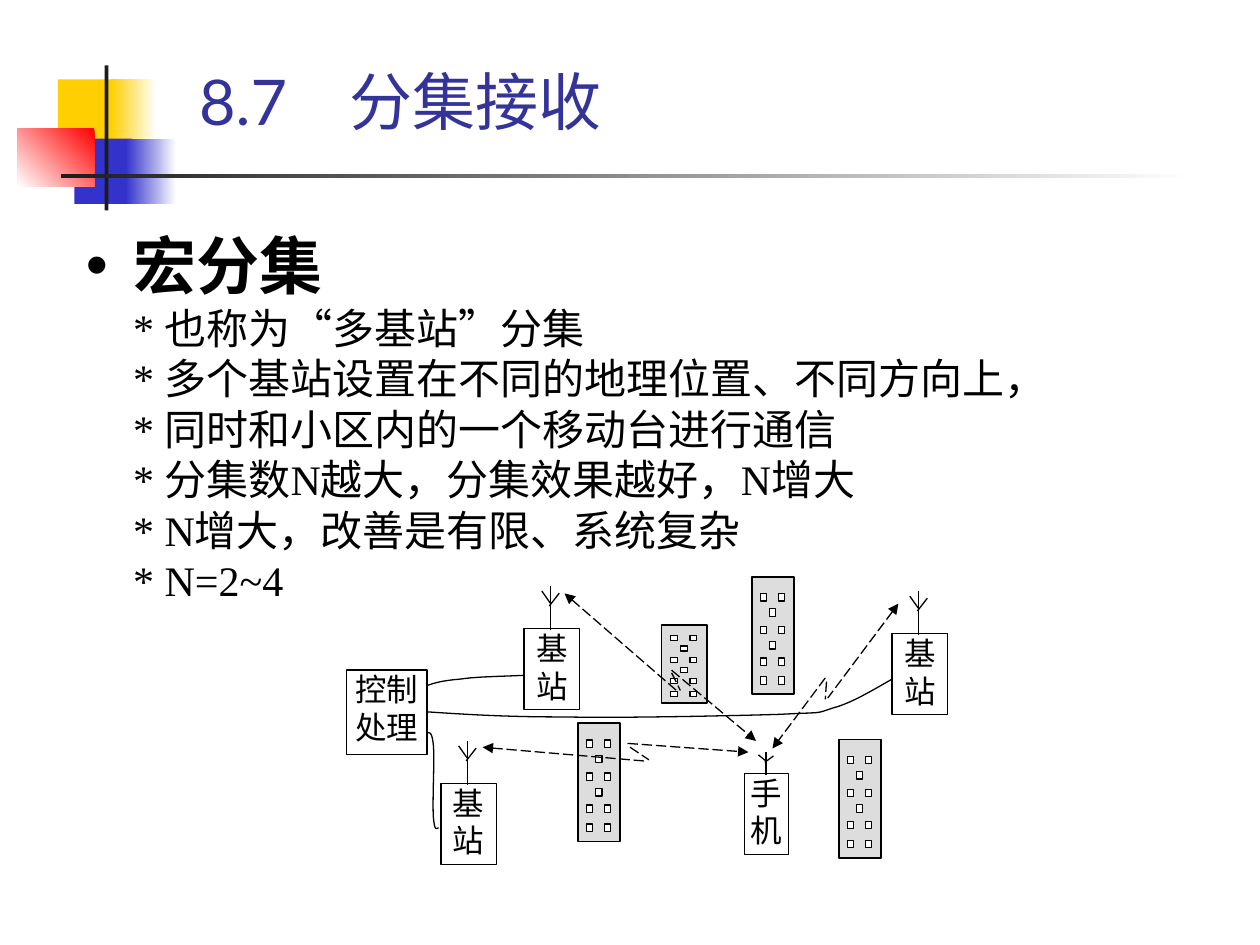
from copy import deepcopy

from lxml.etree import SubElement
from pptx import Presentation
from pptx.dml.color import RGBColor
from pptx.enum.dml import MSO_LINE
from pptx.enum.shapes import MSO_CONNECTOR, MSO_SHAPE
from pptx.enum.text import MSO_ANCHOR, MSO_AUTO_SIZE, PP_ALIGN
from pptx.oxml.ns import qn
from pptx.util import Pt

BLACK = RGBColor(0x00, 0x00, 0x00)
WHITE = RGBColor(0xFF, 0xFF, 0xFF)
CHARCOAL = RGBColor(0x1C, 0x1C, 0x1C)
GRAY = RGBColor(0xDD, 0xDD, 0xDD)
YELLOW = RGBColor(0xFF, 0xCF, 0x01)
BLUE = RGBColor(0x33, 0x33, 0xCC)
RED = RGBColor(0xFF, 0x00, 0x00)
INDIGO = RGBColor(0x33, 0x33, 0x99)
HAN = "Noto Sans CJK SC"
ROMAN = "Times New Roman"

prs = Presentation()
prs.slide_width, prs.slide_height = Pt(720), Pt(540)
slide = prs.slides.add_slide(prs.slide_layouts[1])
shapes = slide.shapes


def add_rect(left, top, width, height, fill=None, line_width=None):
    rect = shapes.add_shape(MSO_SHAPE.RECTANGLE, Pt(left), Pt(top), Pt(width), Pt(height))
    rect.shadow.inherit = False
    if fill is None:
        rect.fill.background()
    else:
        rect.fill.solid()
        rect.fill.fore_color.rgb = fill
    if line_width is None:
        rect.line.fill.background()
    else:
        rect.line.color.rgb = BLACK
        rect.line.width = Pt(line_width)
    return rect


def set_font(font, name, size, color, bold=False):
    """Set a font for Latin text, with the Han font for East Asian text."""
    font.name, font.size, font.bold = name, Pt(size), bold
    font.color.rgb = color
    SubElement(font._rPr, qn("a:ea"), typeface=HAN)


# Corner ornament: plain bars, and bars fading from one colour to another
for left, top, width, height, start, end, angle in [
    (33.1, 45.4, 34.6, 37.4, YELLOW, None, 0),
    (63.4, 45.4, 25.9, 37.4, WHITE, YELLOW, 180),
    (42.5, 79.2, 33.1, 37.4, BLUE, None, 0),
    (72, 79.2, 28.8, 37.4, WHITE, BLUE, 180),
    (10.1, 73.4, 43.9, 33.1, RED, WHITE, 225),
    (59.8, 37.4, 2.2, 82.8, CHARCOAL, None, 0),
    (34.6, 99.4, 648, 2.2, WHITE, CHARCOAL, 180),
]:
    bar = add_rect(left, top, width, height, start)
    if end is not None:
        bar.fill.gradient()
        bar.fill.gradient_angle = angle
        for stop, color in zip(bar.fill.gradient_stops, (start, end)):
            stop.color.rgb = color

# Title
title = shapes.title
title.left, title.top, title.width, title.height = Pt(106.6), Pt(23.8), Pt(613.4), Pt(59)
title.text_frame.vertical_anchor = MSO_ANCHOR.BOTTOM
title.text_frame.auto_size = MSO_AUTO_SIZE.NONE
heading = title.text_frame.paragraphs[0]
heading.alignment = PP_ALIGN.LEFT
tabs = SubElement(heading._p.get_or_add_pPr(), qn("a:tabLst"))
SubElement(tabs, qn("a:tab"), pos=str(Pt(86)), algn="l")
for text, name in [("8.7\t", "Lato"), ("分集接收", HAN)]:
    run = heading.add_run()
    run.text = text
    set_font(run.font, name, 36, INDIGO)

# Body: one bulleted paragraph, its lines parted by breaks
body = slide.placeholders[1]
body.left, body.top, body.width, body.height = Pt(41.8), Pt(126), Pt(653.8), Pt(414)
body.text_frame.auto_size = MSO_AUTO_SIZE.NONE
topic = body.text_frame.paragraphs[0]
topic.space_before = Pt(0)
topic.line_spacing = 1.0
topic_format = topic._p.get_or_add_pPr()
topic_format.set("marL", str(Pt(27)))
topic_format.set("indent", str(Pt(-27)))
SubElement(topic_format, qn("a:buFont"), typeface="Arial")
SubElement(topic_format, qn("a:buChar"), char="•")
topic_lines = [
    [("宏分集", HAN)],
    [("* ", ROMAN), ("也称为“多基站”分集", HAN)],
    [("* ", ROMAN), ("多个基站设置在不同的地理位置、不同方向上，", HAN)],
    [("* ", ROMAN), ("同时和小区内的一个移动台进行通信", HAN)],
    [("* 分集数N越大，分集效果越好，N增大", ROMAN)],
    [("* N增大，", ROMAN), ("改善是有限", HAN), ("、系统", ROMAN), ("复杂", HAN)],
    [("* N=2~4", ROMAN)],
]
for number, parts in enumerate(topic_lines):
    if number:
        topic.add_line_break()
        topic._p[-1].append(deepcopy(run.font._rPr))
    for text, name in parts:
        run = topic.add_run()
        run.text = text
        set_font(run.font, name, 24 if number else 36, BLACK, bold=number == 0)

# Buildings, with rows of two windows and of one
PAIR, SINGLE = (0.2, 0.63), (0.42,)
window_rows = [(0.14, PAIR), (0.27, SINGLE), (0.42, PAIR),
               (0.55, SINGLE), (0.69, PAIR), (0.85, PAIR)]
for left, top, width, height in [
    (330.5, 413.3, 23.8, 67.7),
    (378, 357.1, 25.9, 44.6),
    (429.8, 329.8, 23.8, 67),
    (479.5, 422.6, 23.8, 67.7),
]:
    add_rect(left, top, width, height, GRAY, 1)
    for down, columns in window_rows:
        for across in columns:
            add_rect(left + across * width, top + down * height,
                     0.15 * width, 0.064 * height, WHITE, 0.75)

# Boxes; those with an antenna also give its mast offset, height and reach
STATION, PHONE = (15.1, 24.5, 5), (12.2, 12.2, 4.3)
strokes = []  # x1, y1, x2, y2, dashed, arrowhead
for text, left, top, width, height, line_width, antenna in [
    ("基\n站", 252, 447.8, 31.7, 46.1, 0.75, STATION),
    ("基\n站", 299.5, 359.3, 31.7, 46.1, 0.75, STATION),
    ("基\n站", 509.8, 362.2, 31.7, 46.1, 0.75, STATION),
    ("手\n机", 425.5, 442.1, 25.2, 46.1, 0.75, PHONE),
    ("控制\n处理", 198, 383, 46.1, 48.2, 1, None),
]:
    frame = add_rect(left, top, width, height, None, line_width).text_frame
    frame.margin_left = frame.margin_right = frame.margin_top = frame.margin_bottom = 0
    frame.vertical_anchor = MSO_ANCHOR.TOP
    frame.text = text
    for paragraph in frame.paragraphs:
        paragraph.alignment = PP_ALIGN.CENTER
        set_font(paragraph.font, HAN, 18, BLACK)
    if antenna:
        offset, mast, reach = antenna
        x = left + offset
        strokes += [
            (x, top - mast, x, top + 0.7, False, None),
            (x - reach, top - 0.88 * mast, x, top - 0.59 * mast, False, None),
            (x + reach, top - 0.83 * mast, x - 0.7, top - 0.53 * mast, False, None),
        ]

# Radio paths: dashed, each broken by a short zigzag
strokes += [
    (360, 427, 370.8, 434.2, True, None),
    (358.6, 424.8, 427.7, 429.8, True, "tailEnd"),
    (275.8, 427, 368.6, 434.9, True, "headEnd"),
    (383.8, 384.5, 388.8, 394.6, True, None),
    (383.8, 383, 432, 423.4, True, "tailEnd"),
    (322.6, 339.1, 386.6, 394.6, True, "headEnd"),
    (472.3, 389.5, 471.6, 399.6, True, None),
    (471.6, 387.4, 441.4, 427.7, True, "tailEnd"),
    (513.4, 344.9, 473, 398.9, True, "headEnd"),
]
for x1, y1, x2, y2, dashed, arrowhead in strokes:
    stroke = shapes.add_connector(MSO_CONNECTOR.STRAIGHT, Pt(x1), Pt(y1), Pt(x2), Pt(y2))
    stroke.line.color.rgb = BLACK
    stroke.line.width = Pt(0.75)
    if dashed:
        stroke.line.dash_style = MSO_LINE.LONG_DASH
    if arrowhead:
        SubElement(stroke.line._get_or_add_ln(), qn(f"a:{arrowhead}"), type="triangle")
    SubElement(stroke._element.spPr, qn("a:effectLst"))

# Cables from the controller: chains of cubic curves, drawn in short steps
STEPS = 10
for cable in [
    [(244.1, 391.7), (248.4, 390.2), (253.4, 388.8), (262.8, 388.1),
     (272.2, 386.6), (285.8, 386.6), (299.5, 385.9)],
    [(244.1, 406.8), (265.7, 408.2), (288, 409.7), (321.8, 409.7),
     (355.7, 410.4), (419.8, 409), (445.7, 408.2),
     (471.6, 406.8), (465.1, 408.2), (475.9, 404.6),
     (486.7, 401.8), (498.2, 394.6), (509.8, 388.1)],
    [(244.1, 419), (245.5, 418.3), (247, 418.3), (247.7, 426.2),
     (248.4, 434.2), (247, 459.4), (247.7, 467.3),
     (248.4, 474.5), (249.1, 473.8), (250.6, 473)],
]:
    points = []
    for first in range(0, len(cable) - 1, 3):
        for step in range(1, STEPS + 1):
            t = step / STEPS
            weights = ((1 - t) ** 3, 3 * t * (1 - t) ** 2, 3 * t ** 2 * (1 - t), t ** 3)
            knots = cable[first:first + 4]
            points.append(tuple(Pt(sum(w * knot[axis] for w, knot in zip(weights, knots)))
                                for axis in (0, 1)))
    builder = shapes.build_freeform(Pt(cable[0][0]), Pt(cable[0][1]))
    builder.add_line_segments(points, close=False)
    curve = builder.convert_to_shape()
    curve.shadow.inherit = False
    curve.fill.background()
    curve.line.color.rgb = BLACK
    curve.line.width = Pt(0.75)

prs.save("out.pptx")
